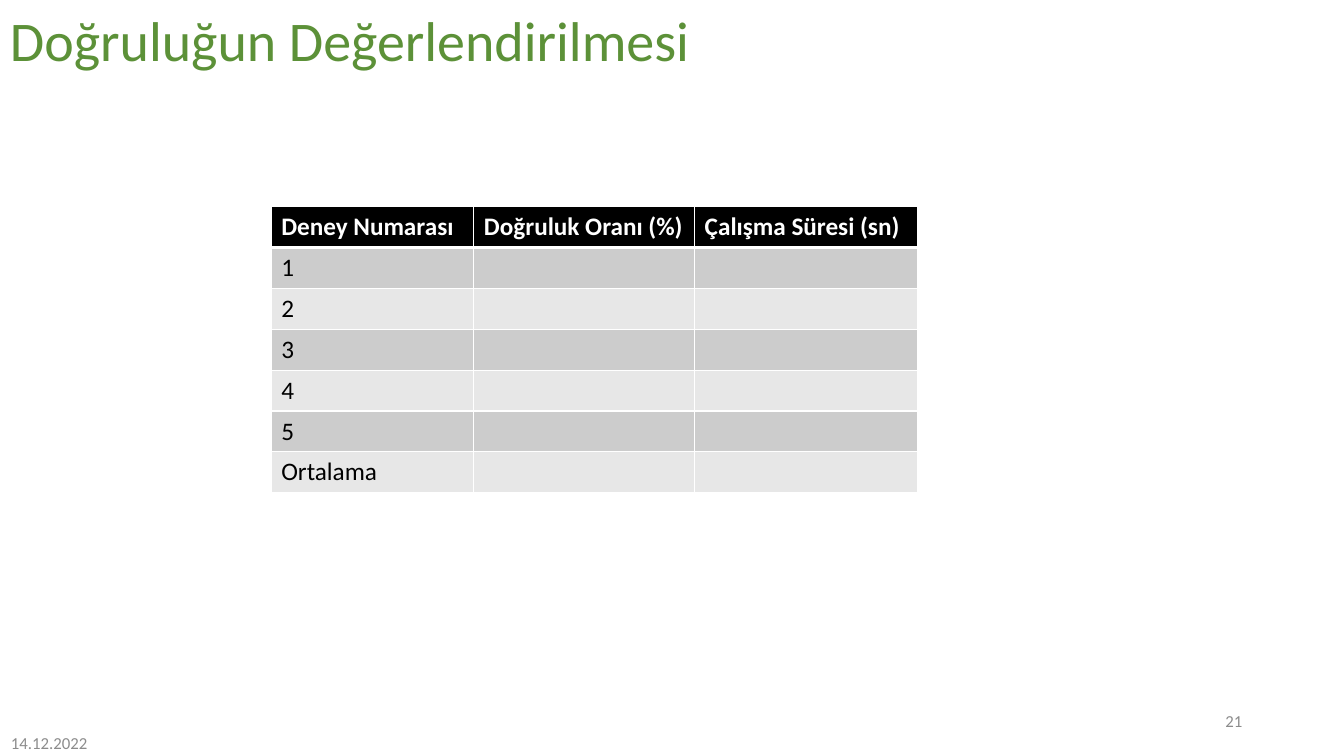
from lxml.etree import SubElement
from pptx import Presentation
from pptx.dml.color import RGBColor
from pptx.enum.text import MSO_ANCHOR, PP_ALIGN
from pptx.oxml.ns import qn
from pptx.util import Inches, Pt

GREEN = RGBColor(0x5C, 0x91, 0x38)
GRAY = RGBColor(0x8C, 0x8C, 0x8C)
BLACK = RGBColor(0x00, 0x00, 0x00)
WHITE = RGBColor(0xFF, 0xFF, 0xFF)
DARK_BAND = RGBColor(0xCC, 0xCC, 0xCC)
LIGHT_BAND = RGBColor(0xE7, 0xE7, 0xE7)

HEADERS = ["Deney Numarası", "Doğruluk Oranı (%)", "Çalışma Süresi (sn)"]
EXPERIMENTS = ["1", "2", "3", "4", "5", "Ortalama"]
COLUMN_WIDTHS = [2.01, 2.19, 2.21]


def write_text(text_frame, text, font="Calibri", size=18, color=BLACK, bold=False,
               align=PP_ALIGN.LEFT, line_spacing=1.0):
    paragraph = text_frame.paragraphs[0]
    paragraph.alignment = align
    paragraph.line_spacing = line_spacing
    paragraph.font.name = font
    paragraph.font.size = Pt(size)
    paragraph.font.bold = bold
    paragraph.font.color.rgb = color
    if text:
        run = paragraph.add_run()
        run.text = text
        run.font.name = font
        run.font.size = Pt(size)
        run.font.bold = bold
        run.font.color.rgb = color


def set_borders(cell, **widths):
    properties = cell._tc.get_or_add_tcPr()
    for side in "LRTB":
        line = SubElement(properties, qn(f"a:ln{side}"), w=str(Pt(widths.get(side, 1))))
        fill = SubElement(line, qn("a:solidFill"))
        SubElement(fill, qn("a:srgbClr"), val=str(WHITE))


class SlideBuilder:
    def __init__(self, slide, font="Calibri"):
        self.slide = slide
        self.font = font

    def text(self, text, left, top, width, height, anchor=MSO_ANCHOR.MIDDLE, **style):
        shape = self.slide.shapes.add_textbox(
            Inches(left), Inches(top), Inches(width), Inches(height))
        shape.text_frame.word_wrap = True
        shape.text_frame.vertical_anchor = anchor
        write_text(shape.text_frame, text, font=self.font, **style)

    def table(self, rows, left, top, widths, height):
        shape = self.slide.shapes.add_table(
            len(rows), len(widths), Inches(left), Inches(top),
            Inches(sum(widths)), Inches(height))
        table = shape.table
        for column, width in zip(table.columns, widths):
            column.width = Inches(width)
        for row_index, row in enumerate(rows):
            header = row_index == 0
            band = DARK_BAND if row_index % 2 else LIGHT_BAND
            for column_index, text in enumerate(row):
                cell = table.cell(row_index, column_index)
                # The rule under the header is thicker
                set_borders(cell, B=3 if header else 1, T=3 if row_index == 1 else 1)
                cell.fill.solid()
                cell.fill.fore_color.rgb = BLACK if header else band
                write_text(cell.text_frame, text, font=self.font, bold=header,
                           color=WHITE if header else BLACK)


def main():
    presentation = Presentation()
    presentation.slide_width = Inches(13.33)
    presentation.slide_height = Inches(7.5)
    builder = SlideBuilder(presentation.slides.add_slide(presentation.slide_layouts[6]))

    # Title
    builder.text("Doğruluğun Değerlendirilmesi", 0, 0, 8.97, 0.78,
                 anchor=MSO_ANCHOR.BOTTOM, size=40, color=GREEN, line_spacing=0.9)

    # Results table
    rows = [HEADERS] + [[name, "", ""] for name in EXPERIMENTS]
    builder.table(rows, 2.69, 2.05, COLUMN_WIDTHS, 2.84)

    # Date and slide number
    builder.text("14.12.2022", 0.01, 7.26, 1.09, 0.22, size=12, color=GRAY)
    builder.text("21", 9.42, 6.95, 3, 0.4, size=12, color=GRAY, align=PP_ALIGN.RIGHT)

    presentation.save("out.pptx")


if __name__ == "__main__":
    main()
